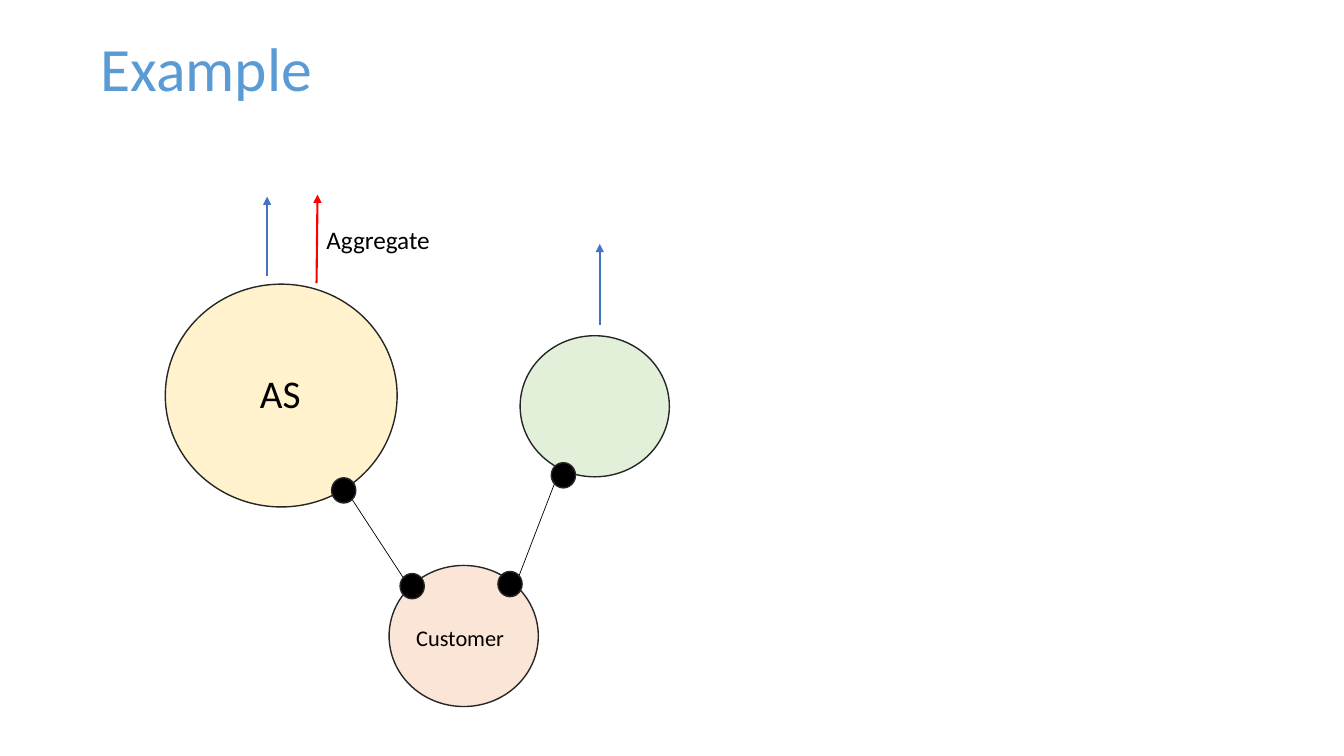
from pptx import Presentation
from pptx.dml.color import RGBColor
from pptx.enum.shapes import MSO_CONNECTOR, MSO_SHAPE
from pptx.enum.text import MSO_ANCHOR
from pptx.oxml.ns import qn
from pptx.util import Pt
from lxml.etree import SubElement

HUES = {
    "title": "5B9BD5", "black": "000000", "edge": "262626",
    "cream": "FFF2CC", "peach": "FBE5D6", "green": "E2F0D9",
    "red": "FF0000", "blue": "4472C4",
}


class Board:
    font = "Calibri"

    def __init__(self, slide):
        self.shapes = slide.shapes

    def hue(self, name):
        return RGBColor.from_string(HUES[name])

    def oval(self, x, y, w, h, fill):
        oval = self.shapes.add_shape(MSO_SHAPE.OVAL, Pt(x), Pt(y), Pt(w), Pt(h))
        oval.shadow.inherit = False
        oval.fill.solid()
        oval.fill.fore_color.rgb = self.hue(fill)
        oval.line.color.rgb = self.hue("edge")
        oval.line.width = Pt(1)

    def line(self, x1, y1, x2, y2, color="black", width=0.5, arrow=False):
        line = self.shapes.add_connector(
            MSO_CONNECTOR.STRAIGHT, Pt(x1), Pt(y1), Pt(x2), Pt(y2))
        line.line.color.rgb = self.hue(color)
        line.line.width = Pt(width)
        if arrow:
            SubElement(line.line._get_or_add_ln(), qn("a:tailEnd"), type="triangle")
        SubElement(line._element.spPr, qn("a:effectLst"))

    def text(self, words, x, y, w, h, size, color="black", space=1.0,
             wrap=True, anchor=MSO_ANCHOR.TOP):
        box = self.shapes.add_textbox(Pt(x), Pt(y), Pt(w), Pt(h))
        frame = box.text_frame
        frame.text = words
        frame.word_wrap = wrap
        frame.vertical_anchor = anchor
        para = frame.paragraphs[0]
        para.line_spacing = space
        font = para.runs[0].font
        font.name = self.font
        font.size = Pt(size)
        font.color.rgb = self.hue(color)


def main():
    deck = Presentation()
    deck.slide_width, deck.slide_height = Pt(960), Pt(540)
    board = Board(deck.slides.add_slide(deck.slide_layouts[6]))

    # Title
    board.text("Example", 64.8, -1.4, 828, 104.4, 44, "title", 0.9,
               anchor=MSO_ANCHOR.MIDDLE)

    # Links from the customer to both networks
    board.line(370.8, 411.1, 396, 345.6)
    board.line(288, 412.6, 251.3, 356.4)

    # Networks
    board.oval(118.1, 203, 165.6, 159.1, "cream")
    for x, y, fill in [(277.9, 403.9, "peach"), (371.5, 239.8, "green")]:
        board.oval(x, y, 106.6, 100.8, fill)

    # Routers
    for x, y in [(285.8, 409.7), (355.7, 408.2), (393.8, 330.5), (236.9, 341.3)]:
        board.oval(x, y, 17.3, 18, "black")

    # Announcements
    for x1, y1, x2, y2, color in [
        (226.1, 202.3, 226.8, 139, "red"),
        (190.8, 197.3, 190.8, 140.4, "blue"),
        (428.4, 231.8, 428.4, 174.2, "blue"),
    ]:
        board.line(x1, y1, x2, y2, color, 1.5, arrow=True)

    # Labels
    board.text("AS", 178.6, 266.4, 45.4, 36.7, 28, space=0.8)
    board.text("Aggregate", 226.1, 157, 89.3, 28.8, 18, wrap=False)
    board.text("Customer", 290.2, 445.7, 84.2, 23.8, 16, space=0.8)

    deck.save("out.pptx")


if __name__ == "__main__":
    main()
